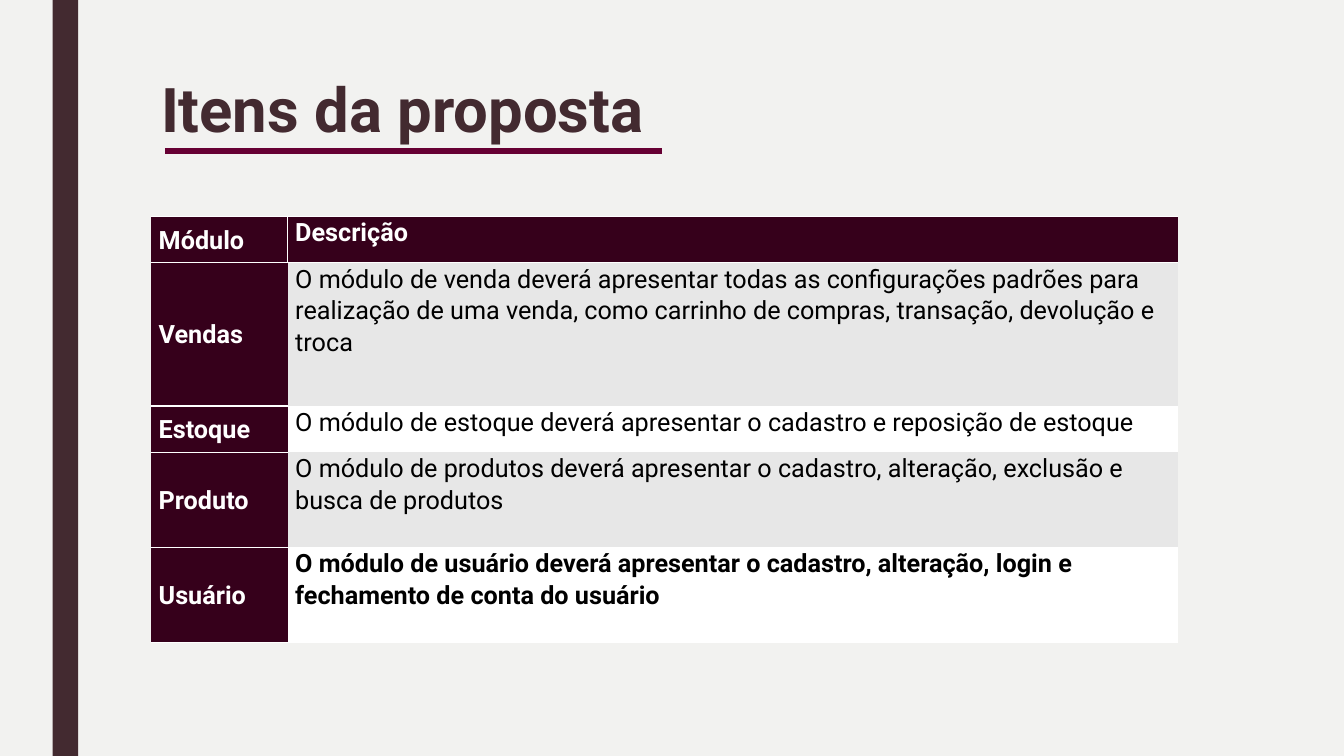
"""Builds the slide listing the modules of the proposal."""
from lxml.etree import SubElement
from pptx import Presentation
from pptx.dml.color import RGBColor
from pptx.enum.shapes import MSO_CONNECTOR, MSO_SHAPE
from pptx.enum.text import MSO_ANCHOR
from pptx.oxml import parse_xml
from pptx.oxml.ns import nsdecls, qn
from pptx.util import Cm, Pt

PAPER = RGBColor(0xF2, 0xF2, 0xF0)
BROWN = RGBColor(0x43, 0x2A, 0x30)
PLUM = RGBColor(0x66, 0x00, 0x33)
WINE = RGBColor(0x36, 0x00, 0x1B)
GREY = RGBColor(0xE7, 0xE7, 0xE7)
WHITE = RGBColor(0xFF, 0xFF, 0xFF)
BLACK = RGBColor(0x00, 0x00, 0x00)

ROWS = [
    ("Módulo", "Descrição", 1.17),
    ("Vendas", "O módulo de venda deverá apresentar todas as configurações padrões "
     "para realização de uma venda, como carrinho de compras, transação, "
     "devolução e troca", 3.61),
    ("Estoque", "O módulo de estoque deverá apresentar o cadastro e reposição de "
     "estoque", 1.17),
    ("Produto", "O módulo de produtos deverá apresentar o cadastro, alteração, "
     "exclusão e busca de produtos", 2.39),
    ("Usuário", "O módulo de usuário deverá apresentar o cadastro, alteração, login "
     "e fechamento de conta do usuário", 2.39),
]


class Deck:
    """Holds the style and the current slide."""

    font = "Roboto"

    def __init__(self):
        self.prs = Presentation()
        self.prs.slide_width, self.prs.slide_height = Cm(33.87), Cm(19.05)
        self.s = self.prs.slides.add_slide(self.prs.slide_layouts[6])
        fill = self.s.background.fill
        fill.solid()
        fill.fore_color.rgb = PAPER

    def text(self, tf, text, size, color, bold, spacing):
        """Set one styled paragraph."""
        tf.word_wrap = True
        p = tf.paragraphs[0]
        p.text, p.line_spacing = text, spacing
        p.font.name, p.font.size, p.font.bold = self.font, Pt(size), bold
        p.font.color.rgb = color

    def bar(self, x, y, w, h, color):
        """Add a plain filled rectangle."""
        sp = self.s.shapes.add_shape(MSO_SHAPE.RECTANGLE, Cm(x), Cm(y), Cm(w), Cm(h))
        sp.shadow.inherit = False
        sp.fill.solid()
        sp.fill.fore_color.rgb = color
        sp.line.fill.background()

    def title(self, text, x, y, w, h):
        """Add the heading."""
        sp = self.s.shapes.add_textbox(Cm(x), Cm(y), Cm(w), Cm(h))
        self.text(sp.text_frame, text, 44, BROWN, True, 0.89)

    def rule(self, x1, x2, y, color, width):
        """Add a horizontal line."""
        sp = self.s.shapes.add_connector(
            MSO_CONNECTOR.STRAIGHT, Cm(x1), Cm(y), Cm(x2), Cm(y))
        sp.line.color.rgb, sp.line.width = color, Pt(width)
        SubElement(sp._element.spPr, qn("a:effectLst"))

    def borders(self, cell, sides):
        """Draw white borders on the given sides and none elsewhere."""
        tcPr = cell._tc.get_or_add_tcPr()
        for i, side in enumerate("LRTB"):
            paint = (f'<a:solidFill><a:srgbClr val="{WHITE}"/></a:solidFill>'
                     if side in sides else "<a:noFill/>")
            tcPr.insert(i, parse_xml(
                f'<a:ln{side} {nsdecls("a")} w="12700">{paint}</a:ln{side}>'))

    def cell(self, cell, text, fill, color, bold, anchor, sides):
        """Fill one table cell."""
        cell.margin_left = cell.margin_right = Cm(0.19)
        cell.margin_top = cell.margin_bottom = 0
        cell.vertical_anchor = anchor
        cell.fill.solid()
        cell.fill.fore_color.rgb = fill
        self.text(cell.text_frame, text, 18, color, bold, 1.07)
        self.borders(cell, sides)

    def table(self, rows, x, y, widths):
        """Add the table of modules and descriptions."""
        height = sum(row[2] for row in rows)
        table = self.s.shapes.add_table(
            len(rows), 2, Cm(x), Cm(y), Cm(sum(widths)), Cm(height)).table
        table.first_row = table.horz_banding = False
        for column, width in zip(table.columns, widths):
            column.width = Cm(width)
        for i, (module, description, h) in enumerate(rows):
            table.rows[i].height = Cm(h)
            head, last = i == 0, i == len(rows) - 1
            self.cell(table.cell(i, 0), module, WINE, WHITE, True,
                      MSO_ANCHOR.MIDDLE, "RTB" if head else "TB")
            fill = WINE if head else GREY if i % 2 else WHITE
            sides = "LTB" if head else "T" if i == 1 else "B" if last else ""
            self.cell(table.cell(i, 1), description, fill, WHITE if head else BLACK,
                      head or last, MSO_ANCHOR.TOP, sides)


deck = Deck()
deck.bar(1.33, 0, 0.64, 19.05, BROWN)
deck.table(ROWS, 3.81, 5.45, (3.44, 22.43))
deck.title("Itens da proposta", 3.81, 1.9, 26.67, 4.11)
deck.rule(4.16, 16.68, 3.81, PLUM, 4.5)
deck.prs.save("out.pptx")
